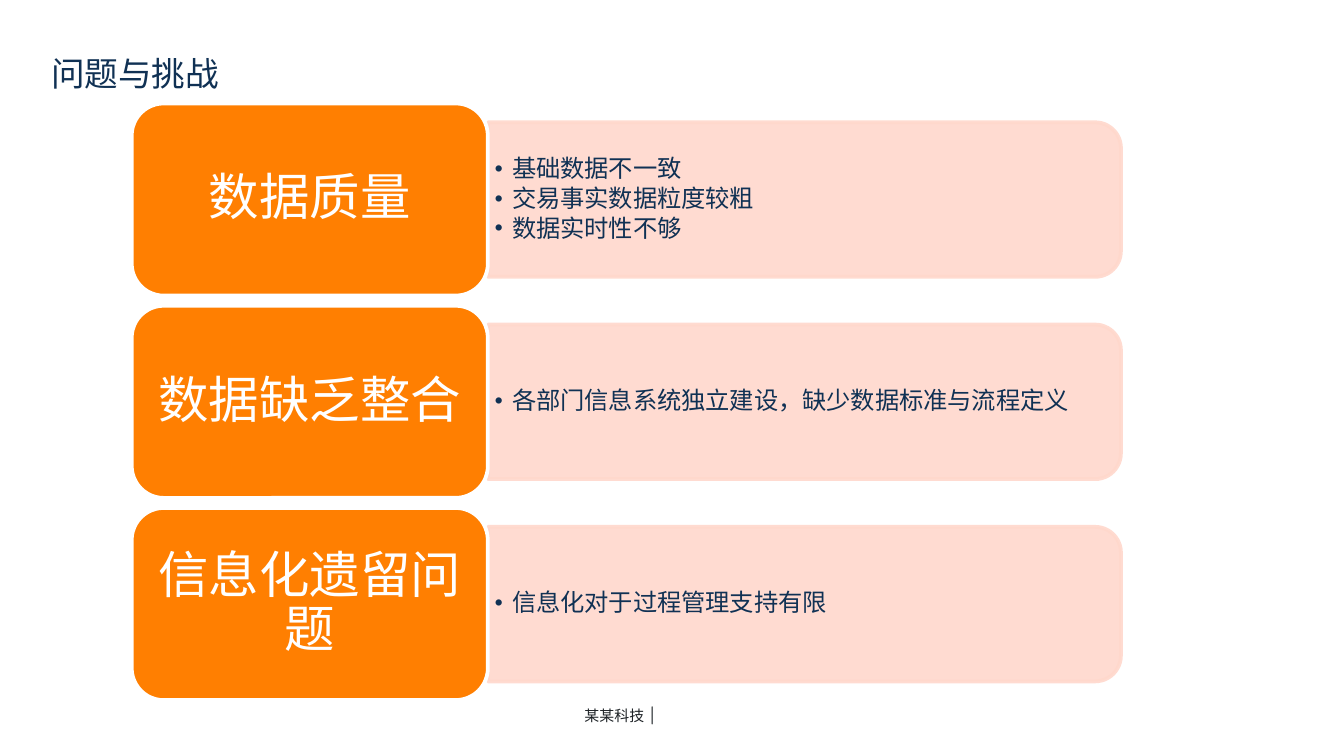
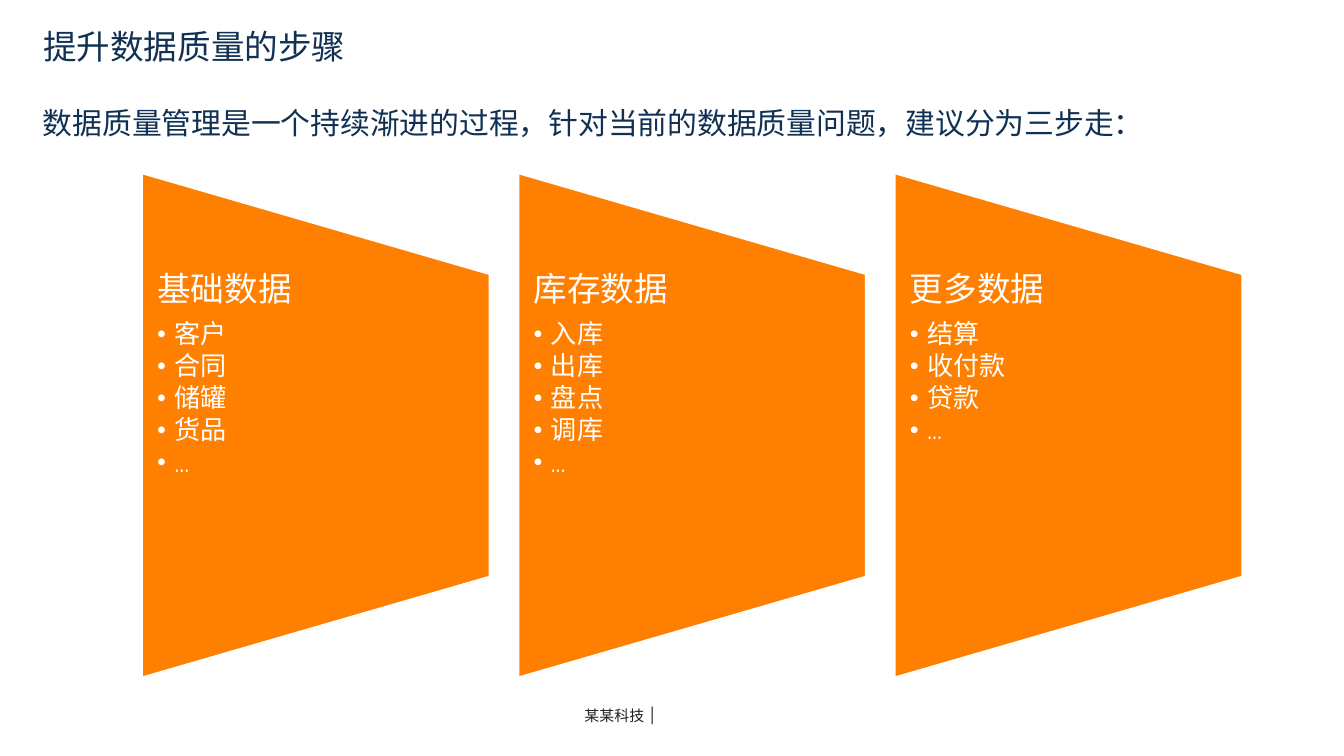
from dataclasses import dataclass

from lxml.etree import SubElement as Sub
from pptx import Presentation
from pptx.dml.color import RGBColor as Rgb
from pptx.enum.shapes import MSO_SHAPE as Kind
from pptx.enum.text import MSO_ANCHOR as Anchor, MSO_AUTO_SIZE as Fit, PP_ALIGN as Align
from pptx.oxml.ns import qn
from pptx.util import Inches, Pt

# Shared look
HUES = {"navy": "103154", "orange": "FF7F01", "blush": "FFD8CC",
        "white": "FFFFFF", "ink": "1E2327"}
FONT = "Quicksand"
FIRM = "某某科技"
INDENT = 0.13
WIDTH = 10
HEIGHT = WIDTH * 9 / 16


@dataclass
class Box:
    left: float
    top: float
    width: float
    height: float

    def turned(self) -> "Box":
        """Frame that covers this box after a quarter turn."""
        shift = (self.width - self.height) / 2
        return Box(self.left + shift, self.top - shift, self.height, self.width)

    def sizes(self) -> list:
        return [Inches(v) for v in (self.left, self.top, self.width, self.height)]


@dataclass
class Group:
    head: str
    items: list[str]


ISSUES = [
    Group("数据质量", ["基础数据不一致", "交易事实数据粒度较粗", "数据实时性不够"]),
    Group("数据缺乏整合", ["各部门信息系统独立建设，缺少数据标准与流程定义"]),
    Group("信息化遗留问题", ["信息化对于过程管理支持有限"]),
]
STEPS = [
    Group("基础数据", ["客户", "合同", "储罐", "货品", "…"]),
    Group("库存数据", ["入库", "出库", "盘点", "调库", "…"]),
    Group("更多数据", ["结算", "收付款", "贷款", "…"]),
]


# Text helpers
def add_run(para, text: str, size: float, hue: str, font: str = FONT):
    run = para.add_run()
    run.text = text
    run.font.size = Pt(size)
    run.font.color.rgb = Rgb.from_string(HUES[hue])
    run.font.name = font
    Sub(run.font._element, qn("a:ea")).set("typeface", font)
    return run


def next_para(frame):
    first = frame.paragraphs[0]
    return first if not first.runs else frame.add_paragraph()


def add_head(frame, text: str, size: float) -> None:
    para = next_para(frame)
    para.line_spacing = 0.9
    para.space_after = Pt(size * 0.35)
    add_run(para, text, size, "white")


def add_list(frame, items: list[str], size: float, hue: str) -> None:
    for item in items:
        para = next_para(frame)
        para.level = 1
        para.line_spacing = 0.9
        para.space_after = Pt(size * 0.15)
        props = para._p.get_or_add_pPr()
        props.set("marL", str(Inches(INDENT)))
        props.set("indent", str(-Inches(INDENT)))
        Sub(props, qn("a:buFont")).set("typeface", FONT)
        Sub(props, qn("a:buChar")).set("char", "•")
        add_run(para, item, size, hue)


def set_pads(frame, left: float, top: float, right: float, base: float) -> None:
    frame.margin_left, frame.margin_top = Inches(left), Inches(top)
    frame.margin_right, frame.margin_bottom = Inches(right), Inches(base)


def add_text(slide, box: Box):
    frame = slide.shapes.add_textbox(*box.sizes()).text_frame
    frame.word_wrap = True
    return frame


# Shape helper
def add_block(slide, kind: Kind, box: Box, fill: str, line: str,
              turn: int = 0, alpha: int = 100):
    shape = slide.shapes.add_shape(kind, *(box.turned() if turn else box).sizes())
    shape.rotation = turn
    shape.shadow.inherit = False
    shape.fill.solid()
    shape.fill.fore_color.rgb = Rgb.from_string(HUES[fill])
    shape.line.color.rgb = Rgb.from_string(HUES[line])
    shape.line.width = Pt(2)
    if alpha < 100:
        for tint in shape._element.spPr.iter(qn("a:srgbClr")):
            Sub(tint, qn("a:alpha")).set("val", str(alpha * 1000))
    return shape


# Title and footer on every slide
def new_slide(deck, title: str, box: Box):
    slide = deck.slides.add_slide(deck.slide_layouts[5])
    head = slide.shapes.title
    head.left, head.top, head.width, head.height = box.sizes()
    frame = head.text_frame
    frame.word_wrap = True
    frame.auto_size = Fit.SHAPE_TO_FIT_TEXT
    frame.vertical_anchor = Anchor.TOP
    para = frame.paragraphs[0]
    para.alignment = Align.LEFT
    add_run(para, title, 18, "navy")

    foot = add_text(slide, Box(4.25, 5.13, 1.65, 0.32)).paragraphs[0]
    foot.line_spacing = 1.3
    add_run(foot, FIRM, 8, "ink")
    gap = add_run(foot, " ", 8, "ink")
    gap.font._element.set("spc", "100")
    add_run(foot, "|", 10, "ink")
    return slide


# Slide 1: rows of an orange card and a pale panel
def add_issues(deck) -> None:
    slide = new_slide(deck, "问题与挑战", Box(0.28, 0.34, 3.76, 0.4))
    first, last = 0.77, 3.78
    step = (last - first) / (len(ISSUES) - 1)
    for i, issue in enumerate(ISSUES):
        top = first + i * step
        add_block(slide, Kind.ROUND_2_SAME_RECTANGLE, Box(3.63, top + 0.14, 4.71, 1.15),
                  "blush", "blush", turn=90, alpha=90)
        frame = add_text(slide, Box(3.63, top + 0.2, 4.65, 1.03))
        frame.vertical_anchor = Anchor.MIDDLE
        set_pads(frame, 0.05, 0.03, 0.05, 0.03)
        add_list(frame, issue.items, 13, "navy")

        card = add_block(slide, Kind.ROUNDED_RECTANGLE, Box(0.98, top, 2.65, 1.43),
                         "orange", "white")
        frame = card.text_frame
        frame.word_wrap = True
        frame.vertical_anchor = Anchor.MIDDLE
        set_pads(frame, 0.11, 0.06, 0.11, 0.06)
        add_head(frame, issue.head, 27)
        frame.paragraphs[0].alignment = Align.CENTER


# Slide 2: three tapering steps
def add_steps(deck) -> None:
    slide = new_slide(deck, "提升数据质量的步骤", Box(0.22, 0.14, 4.67, 0.4))
    for i, step in enumerate(STEPS):
        left = 1.05 + i * 2.8
        add_block(slide, Kind.FLOWCHART_MANUAL_OPERATION, Box(left, 1.28, 2.6, 3.77),
                  "orange", "white", turn=270)
        frame = add_text(slide, Box(left, 2.03, 2.6, 2.26))
        set_pads(frame, 0.12, 0, 0.13, 0)
        add_head(frame, step.head, 18)
        add_list(frame, step.items, 14, "white")

    intro = add_text(slide, Box(0.22, 0.73, 8.94, 0.37))
    add_run(intro.paragraphs[0],
            "数据质量管理是一个持续渐进的过程，针对当前的数据质量问题，建议分为三步走：",
            16, "navy", "Arial")


def main() -> None:
    deck = Presentation()
    deck.slide_width, deck.slide_height = Inches(WIDTH), Inches(HEIGHT)
    add_issues(deck)
    add_steps(deck)
    deck.save("out.pptx")


if __name__ == "__main__":
    main()
